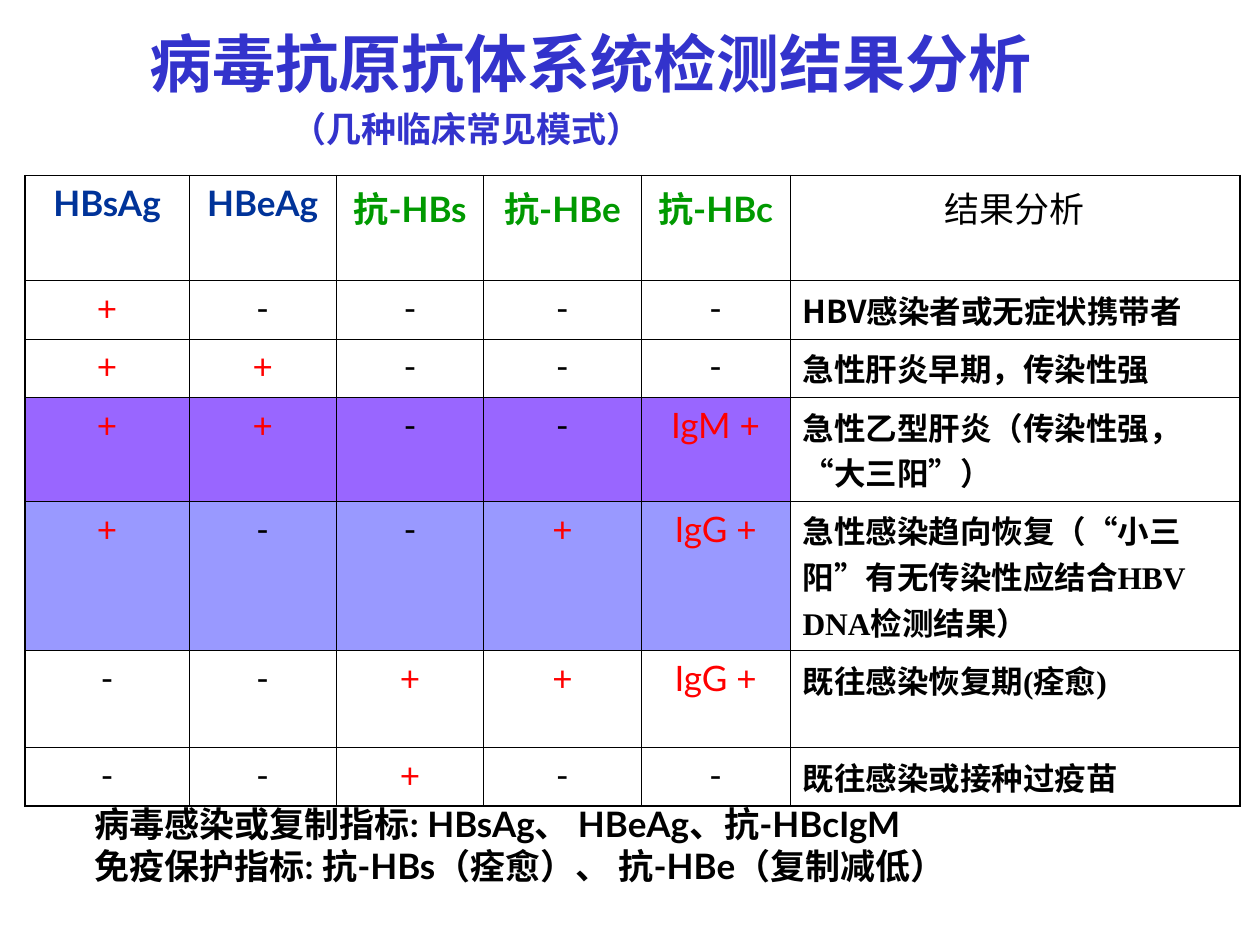
from dataclasses import dataclass

from lxml.etree import SubElement
from pptx import Presentation
from pptx.dml.color import RGBColor as Color
from pptx.enum.lang import MSO_LANGUAGE_ID as Language
from pptx.enum.text import MSO_ANCHOR as Anchor, MSO_AUTO_SIZE as AutoSize, PP_ALIGN as Align
from pptx.oxml.ns import qn
from pptx.util import Inches, Pt


@dataclass(frozen=True)
class Theme:
    title: str = "3333CC"
    antigen: str = "003399"
    antibody: str = "009900"
    positive: str = "FF0000"
    text: str = "000000"
    acute: str = "9966FF"
    recovering: str = "9999FF"
    latin: str = "Lato"
    chinese: str = "Noto Sans CJK SC"
    serif: str = "Times New Roman"
    title_size: int = 36
    body_size: int = 20
    result_size: int = 18
    thin: float = 0.45
    thick: float = 1.08


THEME = Theme()
COLUMNS = (13, 11.7, 11.7, 12.5, 11.8, 35.7)
ROWS = (10.27, 5.87, 5.87, 9.33, 13.33, 10.27, 5.87)
HEADERS = ("HBsAg", "HBeAg", "抗-HBs", "抗-HBe", "抗-HBc", "结果分析")
PATTERNS = (
    (("+", "-", "-", "-", "-"), "HBV感染者或无症状携带者", THEME.chinese, Align.JUSTIFY, None),
    (("+", "+", "-", "-", "-"), "急性肝炎早期，传染性强", THEME.serif, Align.JUSTIFY, None),
    (("+", "+", "-", "-", "IgM +"), "急性乙型肝炎（传染性强，“大三阳”）",
     THEME.serif, Align.LEFT, THEME.acute),
    (("+", "-", "-", "+", "IgG +"), "急性感染趋向恢复（“小三阳”有无传染性应结合HBV DNA检测结果）",
     THEME.serif, Align.LEFT, THEME.recovering),
    (("-", "-", "+", "+", "IgG +"), "既往感染恢复期(痊愈)", THEME.serif, Align.JUSTIFY, None),
    (("-", "-", "+", "-", "-"), "既往感染或接种过疫苗", THEME.serif, Align.LEFT, None),
)
NOTES = ("病毒感染或复制指标: HBsAg、 HBeAg、抗-HBcIgM",
         "免疫保护指标: 抗-HBs（痊愈）、 抗-HBe（复制减低）")


def apply(target, values):
    for name, value in values.items():
        setattr(target, name, value)


class SlideBuilder:
    def __init__(self, deck, theme):
        self.deck = deck
        self.theme = theme
        self.page = deck.slides.add_slide(deck.slide_layouts[5])

    def across(self, percent):
        return round(self.deck.slide_width * percent / 100)

    def down(self, percent):
        return round(self.deck.slide_height * percent / 100)

    def area(self, left, top, width, height):
        return self.across(left), self.down(top), self.across(width), self.down(height)

    def add_span(self, para, text, size, color, face, bold=True, **layout):
        apply(para, layout)
        span = para.add_run()
        span.text = text
        apply(span.font, {"size": Pt(size), "name": face, "bold": bold,
                          "language_id": Language.SIMPLIFIED_CHINESE})
        span.font.color.rgb = Color.from_string(color)
        SubElement(span.font._element, qn("a:ea"), typeface=self.theme.chinese)

    def title(self, area, heading, subtitle):
        theme = self.theme
        box = self.page.shapes.title
        apply(box, dict(zip(("left", "top", "width", "height"), self.area(*area))))
        frame = box.text_frame
        apply(frame, {"word_wrap": True, "auto_size": AutoSize.NONE,
                      "vertical_anchor": Anchor.BOTTOM, "margin_bottom": Inches(0.06)})
        layout = {"alignment": Align.LEFT, "line_spacing": 0.7}
        self.add_span(frame.paragraphs[0], heading, theme.title_size, theme.title,
                      theme.chinese, **layout)
        para = frame.add_paragraph()
        para._p.get_or_add_pPr().set("marL", str(Inches(1.12)))
        self.add_span(para, subtitle, theme.body_size, theme.title, theme.chinese,
                      space_before=Pt(12), **layout)

    def text(self, area, lines):
        theme = self.theme
        frame = self.page.shapes.add_textbox(*self.area(*area)).text_frame
        apply(frame, {"word_wrap": True, "auto_size": AutoSize.SHAPE_TO_FIT_TEXT})
        for index, line in enumerate(lines):
            para = frame.add_paragraph() if index else frame.paragraphs[0]
            self.add_span(para, line, theme.body_size, theme.text, theme.latin,
                          line_spacing=Pt(24))

    def borders(self, cell, outer):
        properties = cell._tc.get_or_add_tcPr()
        for side in "LRTB":
            width = self.theme.thick if side in outer else self.theme.thin
            line = SubElement(properties, qn(f"a:ln{side}"), w=str(Pt(width)))
            fill = SubElement(line, qn("a:solidFill"))
            SubElement(fill, qn("a:srgbClr"), val=self.theme.text)

    def fill_cell(self, cell, text, color, outer, shade=None, size=None, face=None,
                  bold=False, alignment=Align.CENTER):
        self.borders(cell, outer)
        if shade:
            cell.fill.solid()
            cell.fill.fore_color.rgb = Color.from_string(shade)
        else:
            cell.fill.background()
        self.add_span(cell.text_frame.paragraphs[0], text, size or self.theme.body_size,
                      color, face or self.theme.latin, bold, alignment=alignment)

    def table(self, left, top, columns, rows, headers, patterns):
        theme = self.theme
        area = self.area(left, top, sum(columns), sum(rows))
        table = self.page.shapes.add_table(len(rows), len(columns), *area).table
        apply(table, {"first_row": False, "horz_banding": False})
        for column, width in zip(table.columns, columns):
            column.width = self.across(width)
        for row, height in zip(table.rows, rows):
            row.height = self.down(height)
        last = len(columns) - 1
        sides = {0: "L", last: "R"}
        colors = [theme.antigen] * 2 + [theme.antibody] * 3 + [theme.text]
        for index, (header, color) in enumerate(zip(headers, colors)):
            self.fill_cell(table.cell(0, index), header, color, sides.get(index, ""),
                           bold=index < last)
        for number, (marks, result, face, alignment, shade) in enumerate(patterns, 1):
            bottom = "B" if number == len(patterns) else ""
            for index, mark in enumerate(marks):
                color = theme.positive if "+" in mark else theme.text
                self.fill_cell(table.cell(number, index), mark, color,
                               sides.get(index, "") + bottom, shade)
            self.fill_cell(table.cell(number, last), result, theme.text, "R" + bottom,
                           size=theme.result_size, face=face, bold=True, alignment=alignment)


def main():
    deck = Presentation()
    apply(deck, {"slide_width": Inches(10), "slide_height": Inches(7.5)})
    builder = SlideBuilder(deck, THEME)
    builder.title((10.9, 5.33, 79.4, 11.2), "病毒抗原抗体系统检测结果分析", "（几种临床常见模式）")
    builder.table(2, 18.53, COLUMNS, ROWS, HEADERS, PATTERNS)
    builder.text((6.5, 84.27, 81.7, 10.27), NOTES)
    deck.save("out.pptx")


if __name__ == "__main__":
    main()
